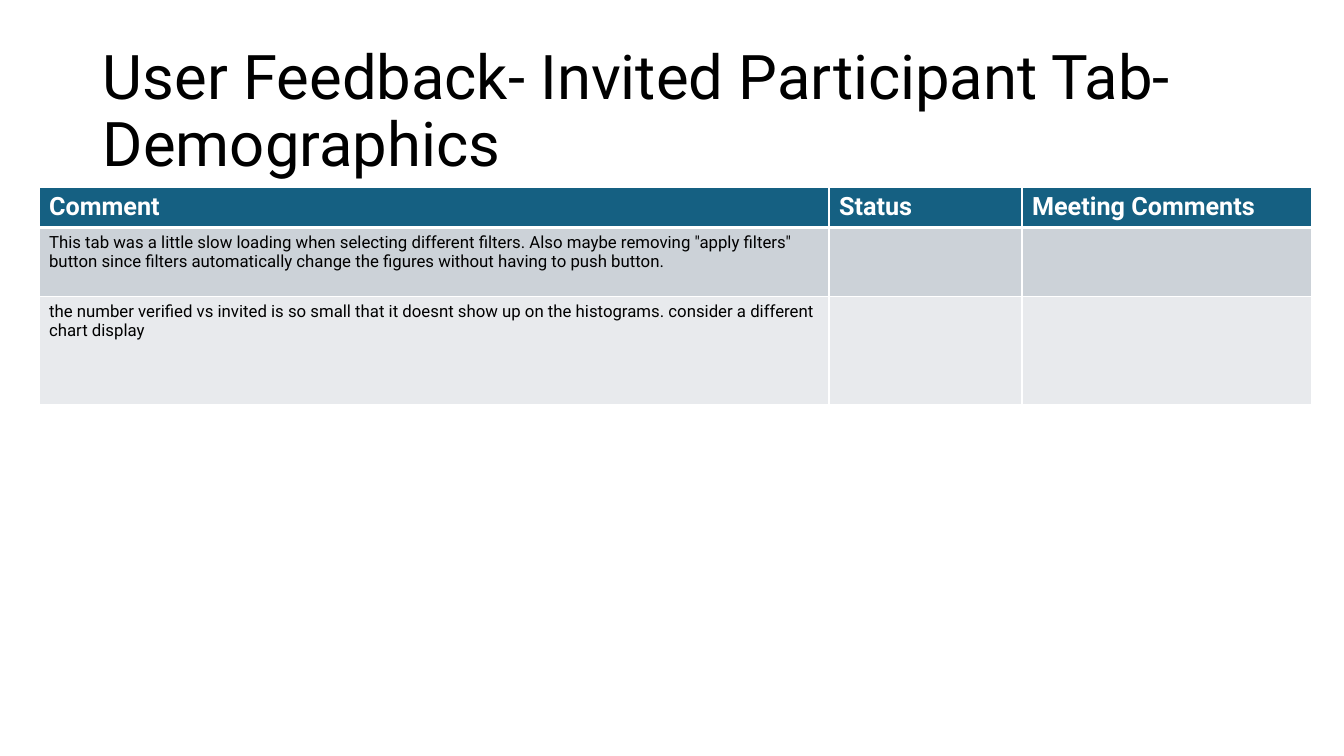
from lxml import etree
from pptx import Presentation
from pptx import util as u
from pptx.dml.color import RGBColor
from pptx.enum import text
from pptx.oxml import ns

EMU_PER_PX = 914400 / 100.8
FONT = "Roboto"
BLACK = RGBColor(0x00, 0x00, 0x00)
WHITE = RGBColor(0xFF, 0xFF, 0xFF)
TEAL = RGBColor(0x15, 0x60, 0x82)
BAND_DARK = RGBColor(0xCC, 0xD2, 0xD8)
BAND_LIGHT = RGBColor(0xE8, 0xEA, 0xED)

TITLE_FORMAT = {"name": FONT, "size": u.Pt(44), "bold": False}
HEADER_FORMAT = {"name": FONT, "size": u.Pt(18), "bold": True}
BODY_FORMAT = {"name": FONT, "size": u.Pt(12), "bold": False}

COLUMN_WIDTHS = [790, 193, 290]
FEEDBACK_ROWS = [
    (39, TEAL, WHITE, HEADER_FORMAT, ["Comment", "Status", "Meeting Comments"]),
    (69, BAND_DARK, BLACK, BODY_FORMAT, [
        'This tab was a little slow loading when selecting different filters. '
        'Also maybe removing "apply filters" button since filters automatically '
        'change the figures without having to push button.', "", ""]),
    (108, BAND_LIGHT, BLACK, BODY_FORMAT, [
        "the number verified vs invited is so small that it doesnt show up on "
        "the histograms. consider a different chart display", "", ""]),
]


def px(length):
    return u.Emu(round(length * EMU_PER_PX))


def format_font(font, color, values):
    for name, value in values.items():
        setattr(font, name, value)
    font.color.rgb = color


def add_title(slide, box, wording):
    shape = slide.shapes.add_textbox(*map(px, box))
    frame = shape.text_frame
    frame.word_wrap = True
    frame.vertical_anchor = text.MSO_ANCHOR.MIDDLE
    paragraph = frame.paragraphs[0]
    paragraph.line_spacing = 0.9
    run = paragraph.add_run()
    run.text = wording
    format_font(run.font, BLACK, TITLE_FORMAT)


def set_borders(cell, widths):
    properties = cell._tc.get_or_add_tcPr()
    for index, (side, width) in enumerate(widths.items()):
        line = etree.Element(ns.qn(f"a:{side}"), w=str(u.Pt(width)))
        fill = etree.SubElement(line, ns.qn("a:solidFill"))
        etree.SubElement(fill, ns.qn("a:srgbClr"), val=str(WHITE))
        properties.insert(index, line)


def add_feedback_table(slide, left, top):
    width = sum(COLUMN_WIDTHS)
    height = sum(row[0] for row in FEEDBACK_ROWS)
    table = slide.shapes.add_table(
        len(FEEDBACK_ROWS), len(COLUMN_WIDTHS), *map(px, (left, top, width, height))
    ).table
    table.horz_banding = False
    for column, column_width in zip(table.columns, COLUMN_WIDTHS):
        column.width = px(column_width)
    for index, (row_height, fill, color, values, wordings) in enumerate(FEEDBACK_ROWS):
        row = table.rows[index]
        row.height = px(row_height)
        top_width = 3 if index == 1 else 1
        bottom_width = 3 if index == 0 else 1
        for cell, wording in zip(row.cells, wordings):
            cell.fill.solid()
            cell.fill.fore_color.rgb = fill
            set_borders(cell, {"lnL": 1, "lnR": 1, "lnT": top_width, "lnB": bottom_width})
            paragraph = cell.text_frame.paragraphs[0]
            if wording:
                run = paragraph.add_run()
                run.text = wording
                format_font(run.font, color, values)
            else:
                format_font(paragraph.font, color, values)


def main():
    presentation = Presentation()
    presentation.slide_width = px(1344)
    presentation.slide_height = px(756)
    slide = presentation.slides.add_slide(presentation.slide_layouts[6])
    add_title(slide, (93, 40, 1159, 146),
              "User Feedback- Invited Participant Tab- Demographics")
    add_feedback_table(slide, 39, 187)
    presentation.save("out.pptx")


if __name__ == "__main__":
    main()
